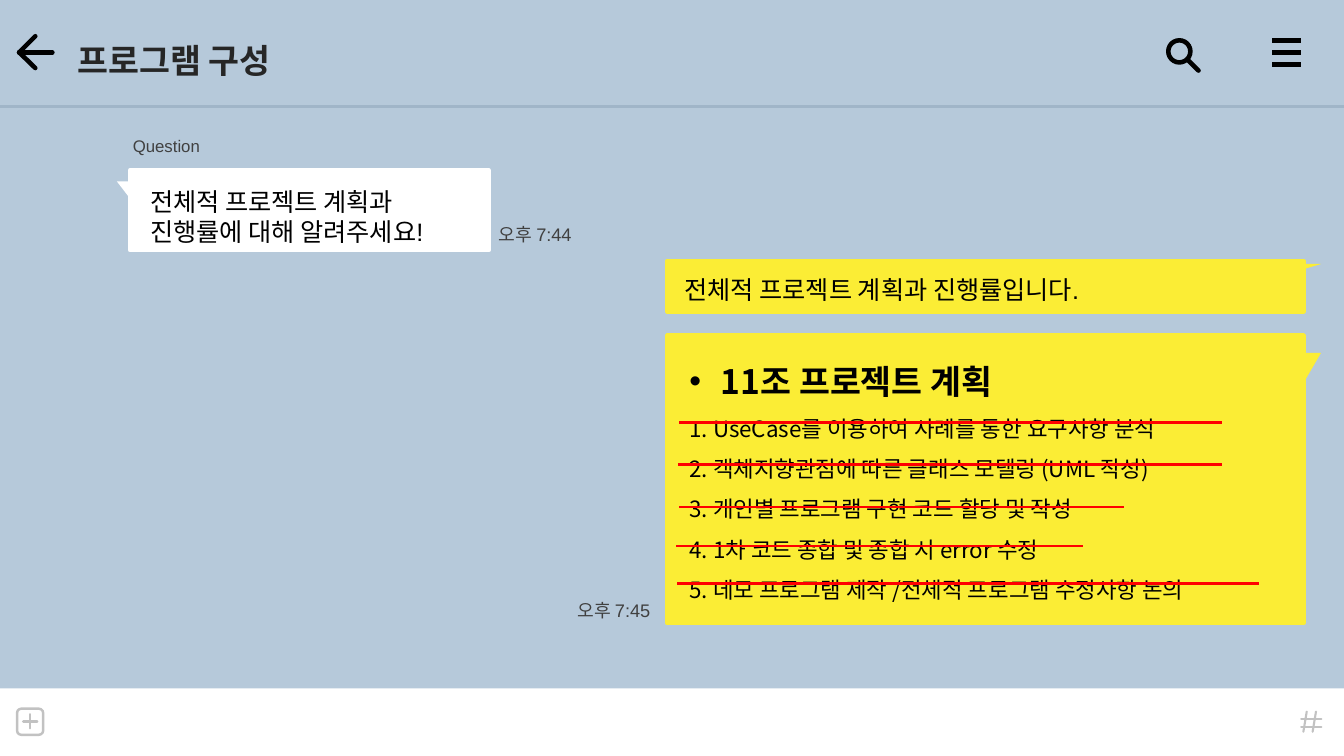
from lxml.etree import SubElement
from pptx import Presentation
from pptx.dml.color import RGBColor
from pptx.enum.shapes import MSO_CONNECTOR as Link, MSO_SHAPE as Kind
from pptx.enum.text import MSO_ANCHOR as Anchor, MSO_AUTO_SIZE as Fit, PP_ALIGN as Align
from pptx.oxml.ns import qn
from pptx.util import Pt

SKY, EDGE, WHITE, GOLD = "B6C9DA", "A0B5C8", "FFFFFF", "FBED35"
BLACK, DARK, GREY, PALE, RED = "000000", "262626", "404040", "C2C2C2", "FF0000"
KOREAN = "Noto Sans CJK KR"


def color(code):
    return RGBColor.from_string(code)


class Chat:
    def __init__(self, deck):
        self.slide = deck.slides.add_slide(deck.slide_layouts[1])
        self.shapes = self.slide.shapes
        back = self.slide.background.fill
        back.solid()
        back.fore_color.rgb = color(SKY)

    def style(self, item, values):
        for name, value in values.items():
            setattr(item, name, value)

    def shape(self, kind, box, fill=None, line=None, width=3.25, flip=""):
        """Add a preset shape; flip holds any of the letters H and V."""
        item = self.shapes.add_shape(kind, *map(Pt, box))
        item.shadow.inherit = False
        if fill:
            item.fill.solid()
            item.fill.fore_color.rgb = color(fill)
        else:
            item.fill.background()
        if line:
            item.line.color.rgb = color(line)
            item.line.width = Pt(width)
        else:
            item.line.fill.background()
        for axis in flip:
            item._element.spPr.get_or_add_xfrm().set("flip" + axis, "1")
        return item

    def line(self, ends, tone, width, cap="rnd"):
        item = self.shapes.add_connector(Link.STRAIGHT, *map(Pt, ends))
        item.line.color.rgb = color(tone)
        item.line.width = Pt(width)
        item.line._get_or_add_ln().set("cap", cap)
        SubElement(item._element.spPr, qn("a:effectLst"))

    def bubble(self, box, tail, fill, flip):
        self.shape(Kind.RECTANGLE, box, fill, fill)
        self.shape(Kind.RIGHT_TRIANGLE, tail, fill, flip=flip)

    def label(self, para, text, size, tone=BLACK, face="Arial", bold=False, lead=1.2):
        self.style(para, {"alignment": Align.LEFT, "space_before": Pt(0),
                          "line_spacing": Pt(size * lead)})
        run = para.add_run()
        run.text = text
        self.style(run.font, {"size": Pt(size), "name": face, "bold": bold})
        run.font.color.rgb = color(tone)
        SubElement(run._r.get_or_add_rPr(), qn("a:ea"), typeface=KOREAN)

    def frame(self, item):
        self.style(item.text_frame, {"word_wrap": True, "auto_size": Fit.NONE,
                                     "vertical_anchor": Anchor.TOP})
        return item.text_frame

    def text(self, box, lines, size, tone=BLACK):
        frame = self.frame(self.shapes.add_textbox(*map(Pt, box)))
        for i, text in enumerate(lines):
            para = frame.add_paragraph() if i else frame.paragraphs[0]
            self.label(para, text, size, tone)

    def place(self, item, box):
        """Move a placeholder to its box, in front of what is drawn so far."""
        self.style(item, dict(zip(("left", "top", "width", "height"), map(Pt, box))))
        self.shapes._spTree.append(item._element)
        return self.frame(item)

    def title(self, box, text):
        frame = self.place(self.shapes.title, box)
        self.label(frame.paragraphs[0], text, 24, DARK, bold=True)

    def plan(self, box, head, steps):
        frame = self.place(self.slide.placeholders[1], box)
        first = frame.paragraphs[0]
        self.label(first, head, 24, face=KOREAN, bold=True, lead=1.8)
        self.bullet(first, 22.5, "•")
        for step in steps:
            para = frame.add_paragraph()
            self.label(para, step, 16, face=KOREAN, lead=1.8)
            self.bullet(para)

    def bullet(self, para, indent=0, mark=None):
        props = para._p.get_or_add_pPr()
        props.set("marL", str(Pt(indent)))
        props.set("indent", str(-Pt(indent)))
        if mark:
            SubElement(props, qn("a:buFont"), typeface="Arial")
            SubElement(props, qn("a:buChar"), char=mark)
        else:
            SubElement(props, qn("a:buNone"))


def header(chat):
    chat.shape(Kind.RECTANGLE, (-9.4, -2.2, 979, 78.5), SKY, EDGE, 2)
    chat.title((48.2, 25, 184, 36), "프로그램 구성")
    chat.shape(Kind.OVAL, (834.5, 28.8, 15.8, 15.8), line=BLACK)
    chat.line((848.2, 42.5, 856.1, 50.4), BLACK, 3.25)
    for i in range(3):
        y = 28.8 + 8.7 * i
        chat.line((908.6, y, 929.5, y), BLACK, 3.25, "flat")
    for x, y in ((37.4, 37.4), (25.2, 25.9), (25.2, 48.6)):
        chat.line((13.7, 37.4, x, y), BLACK, 3.25)


def footer(chat):
    chat.shape(Kind.RECTANGLE, (-0.7, 491.8, 961.4, 48.2), WHITE)
    for x in (931, 937.6):
        chat.line((x + 2.4, 508.3, x, 522.7), PALE, 1.5)
    for y in (513.4, 519.1):
        chat.line((943.9, y, 929.5, y), PALE, 1.5)
    chat.shape(Kind.ROUNDED_RECTANGLE, (12.2, 506.2, 18.7, 18.7), line=PALE, width=1.75)
    chat.line((16.6, 515.2, 26.6, 515.2), PALE, 1.75)
    chat.line((21.6, 510.2, 21.6, 520.2), PALE, 1.75)


def question(chat):
    chat.text((87.8, 93.6, 105, 21.6), ["Question"], 12, GREY)
    chat.bubble((92.9, 121.7, 256.3, 56.9), (83.5, 129.6, 10, 13), WHITE, "HV")
    chat.text((100.1, 129.2, 240.5, 51), ["전체적 프로젝트 계획과", "진행률에 대해 알려주세요!"], 18)
    chat.text((349.2, 155.8, 70.6, 23), ["오후 7:44"], 13, GREY)


def answer(chat):
    chat.bubble((476.6, 186.5, 454.5, 36), (931.5, 188.6, 12.2, 3.6), GOLD, "V")
    chat.text((481.7, 192.5, 437.8, 29), ["전체적 프로젝트 계획과 진행률입니다."], 18)
    chat.text((405.4, 424.8, 70.6, 23), ["오후 7:45"], 13, GREY)
    chat.bubble((476.6, 239.8, 454.5, 205.2), (931.5, 252, 12.2, 20.9), GOLD, "V")
    chat.plan((485.3, 239.8, 437.8, 205.2), "11조 프로젝트 계획", [
        "1. UseCase를 이용하여 사례를 통한 요구사항 분석",
        "2. 객체지향관점에 따른 클래스 모델링 (UML 작성)",
        "3. 개인별 프로그램 구현 코드 할당 및 작성",
        "4. 1차 코드 종합 및 종합 시 error 수정",
        "5. 데모 프로그램 제작 /전체적 프로그램 수정사항 논의"])
    for left, right, y in ((485.3, 872.6, 301.7), (484.6, 872.6, 331.9), (485.3, 802.8, 362.2),
                           (483.1, 773.3, 390.2), (483.8, 899.3, 416.9)):
        chat.line((left, y, right, y), RED, 1.75, "flat")


def main():
    deck = Presentation()
    deck.slide_width, deck.slide_height = Pt(960), Pt(540)
    chat = Chat(deck)
    for part in (question, header, footer, answer):
        part(chat)
    deck.save("out.pptx")


if __name__ == "__main__":
    main()
